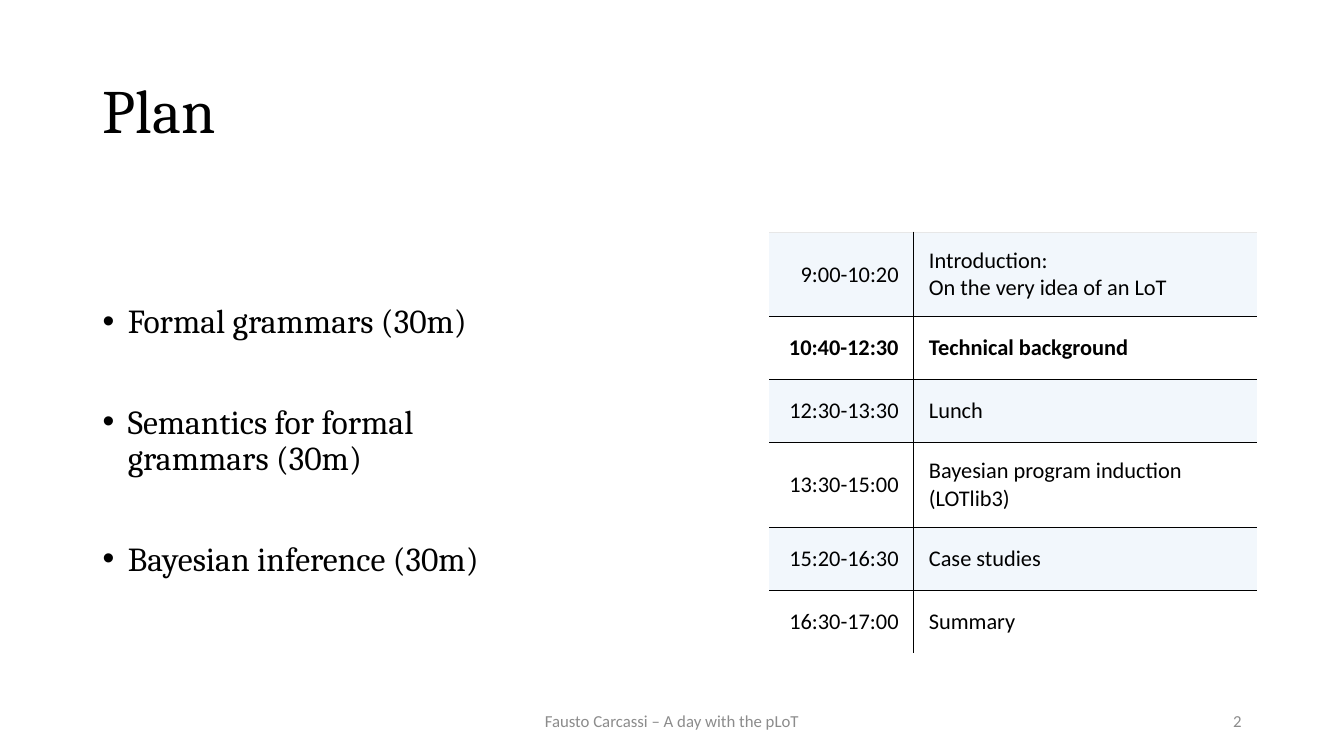
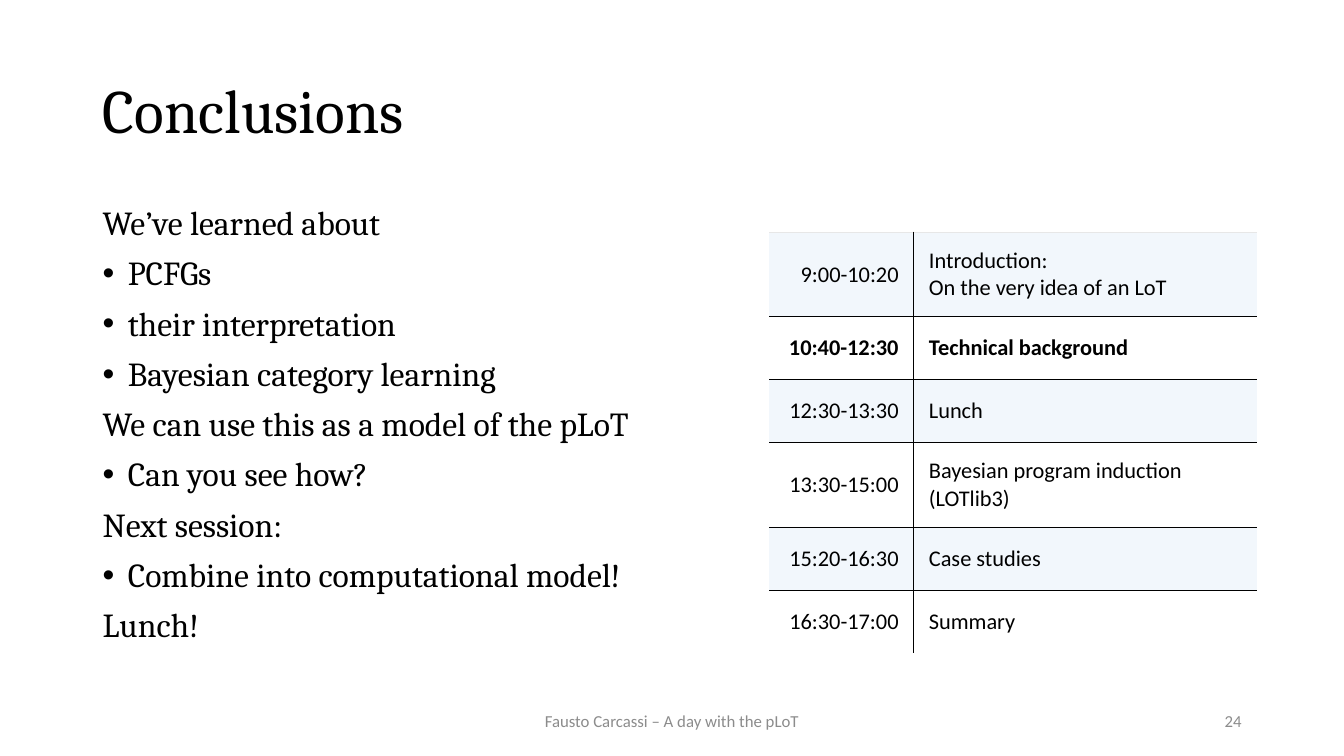
"""Builds the plan and conclusions slides, each with the day's timetable."""
from lxml import etree
from pptx import Presentation
from pptx.dml.color import RGBColor
from pptx.enum.text import MSO_ANCHOR, PP_ALIGN
from pptx.oxml.ns import qn
from pptx.util import Pt

TOP, MIDDLE = MSO_ANCHOR.TOP, MSO_ANCHOR.MIDDLE
LEFT, CENTER, RIGHT = PP_ALIGN.LEFT, PP_ALIGN.CENTER, PP_ALIGN.RIGHT
COLORS = {"ink": "000000", "footer": "8C8C8C", "band": "F2F7FC", "plain": "FFFFFF", "top_rule": "E7E7E7"}
HEADING_FONT, TABLE_FONT = "Cambria", "Calibri"
FOOTER = "Fausto Carcassi – A day with the pLoT"
MARGIN = 66.24
COLUMN_WIDTHS = [103.4, 245.2]
CELL_MARGIN = Pt(10.8)
SCHEDULE = [
    ("9:00-10:20", "Introduction:\nOn the very idea of an LoT"),
    ("10:40-12:30", "Technical background"),
    ("12:30-13:30", "Lunch"),
    ("13:30-15:00", "Bayesian program induction\n(LOTlib3)"),
    ("15:20-16:30", "Case studies"),
    ("16:30-17:00", "Summary"),
]
CURRENT_ROW = 1
SLIDES = [
    {
        "title": "Plan", "number": "2", "width": 328.32, "anchor": MIDDLE, "gap": 46,
        "body": ["• Formal grammars (30m)", "• Semantics for formal grammars (30m)", "• Bayesian inference (30m)"],
    },
    {
        "title": "Conclusions", "number": "24", "width": 449.28, "anchor": TOP, "gap": 10,
        "body": [
            "We’ve learned about", "• PCFGs", "• their interpretation", "• Bayesian category learning",
            "We can use this as a model of the pLoT", "• Can you see how?",
            "Next session:", "• Combine into computational model!", "Lunch!",
        ],
    },
]


def write(text_frame, text, font, size, color, align=LEFT, anchor=MIDDLE, bold=False):
    text_frame.text = text
    text_frame.word_wrap = True
    text_frame.vertical_anchor = anchor
    for paragraph in text_frame.paragraphs:
        paragraph.alignment = align
        for run in paragraph.runs:
            run.font.name = font
            run.font.size = Pt(size)
            run.font.bold = bold
            run.font.color.rgb = RGBColor.from_string(COLORS[color])


def add_text(slide, box, *style, **options):
    shape = slide.shapes.add_textbox(*[Pt(length) for length in box])
    write(shape.text_frame, *style, **options)
    return shape.text_frame.paragraphs


presentation = Presentation()
presentation.slide_width, presentation.slide_height = Pt(960), Pt(540)

for content in SLIDES:
    slide = presentation.slides.add_slide(presentation.slide_layouts[6])

    title = add_text(slide, (MARGIN, 28.8, 828, 104.4), content["title"], HEADING_FONT, 44, "ink")
    title[0].line_spacing = 0.9

    body = add_text(slide, (MARGIN, 144, content["width"], 342.72), "\n".join(content["body"]),
                    HEADING_FONT, 24, "ink", anchor=content["anchor"])
    for paragraph in body:
        paragraph.line_spacing = 0.9
        paragraph.space_before = Pt(content["gap"])
        if paragraph.text.startswith("• "):
            paragraph.runs[0].text = paragraph.text[2:]
            properties = paragraph._p.get_or_add_pPr()
            properties.set("marL", str(Pt(18)))
            properties.set("indent", str(-Pt(18)))
            etree.SubElement(properties, qn("a:buFont"), typeface="Arial")
            etree.SubElement(properties, qn("a:buChar"), char="•")

    heights = [60.7 if "\n" in topic else 44.9 for _, topic in SCHEDULE]
    frame = slide.shapes.add_table(len(SCHEDULE), len(COLUMN_WIDTHS), Pt(549.36), Pt(165.6),
                                   Pt(sum(COLUMN_WIDTHS)), Pt(sum(heights)))
    table = frame.table
    table.first_row = table.horz_banding = False
    for column, width in zip(table.columns, COLUMN_WIDTHS):
        column.width = Pt(width)
    last_row = len(SCHEDULE) - 1
    for row_index, entry in enumerate(SCHEDULE):
        table.rows[row_index].height = Pt(heights[row_index])
        for column_index, text in enumerate(entry):
            cell = table.cell(row_index, column_index)
            write(cell.text_frame, text, TABLE_FONT, 16, "ink",
                  align=LEFT if column_index else RIGHT, bold=row_index == CURRENT_ROW)
            cell.vertical_anchor = MIDDLE
            cell.margin_left = cell.margin_right = cell.margin_top = cell.margin_bottom = CELL_MARGIN
            borders = {
                "a:lnL": ("ink", 1) if column_index else None,
                "a:lnR": None if column_index else ("ink", 1),
                "a:lnT": ("ink", 1) if row_index else ("top_rule", 0.3),
                "a:lnB": ("ink", 1) if row_index < last_row else None,
            }
            properties = cell._tc.get_or_add_tcPr()
            for side, border in borders.items():
                line = etree.SubElement(properties, qn(side))
                if border:
                    color, weight = border
                    line.set("w", str(Pt(weight)))
                    fill = etree.SubElement(line, qn("a:solidFill"))
                    etree.SubElement(fill, qn("a:srgbClr"), val=COLORS[color])
                else:
                    etree.SubElement(line, qn("a:noFill"))
            cell.fill.solid()
            cell.fill.fore_color.rgb = RGBColor.from_string(COLORS["plain" if row_index % 2 else "band"])

    add_text(slide, (318, 500.4, 324, 28.8), FOOTER, TABLE_FONT, 12, "footer", align=CENTER)
    add_text(slide, (678, 500.4, 216, 28.8), content["number"], TABLE_FONT, 12, "footer", align=RIGHT)

presentation.save("out.pptx")
